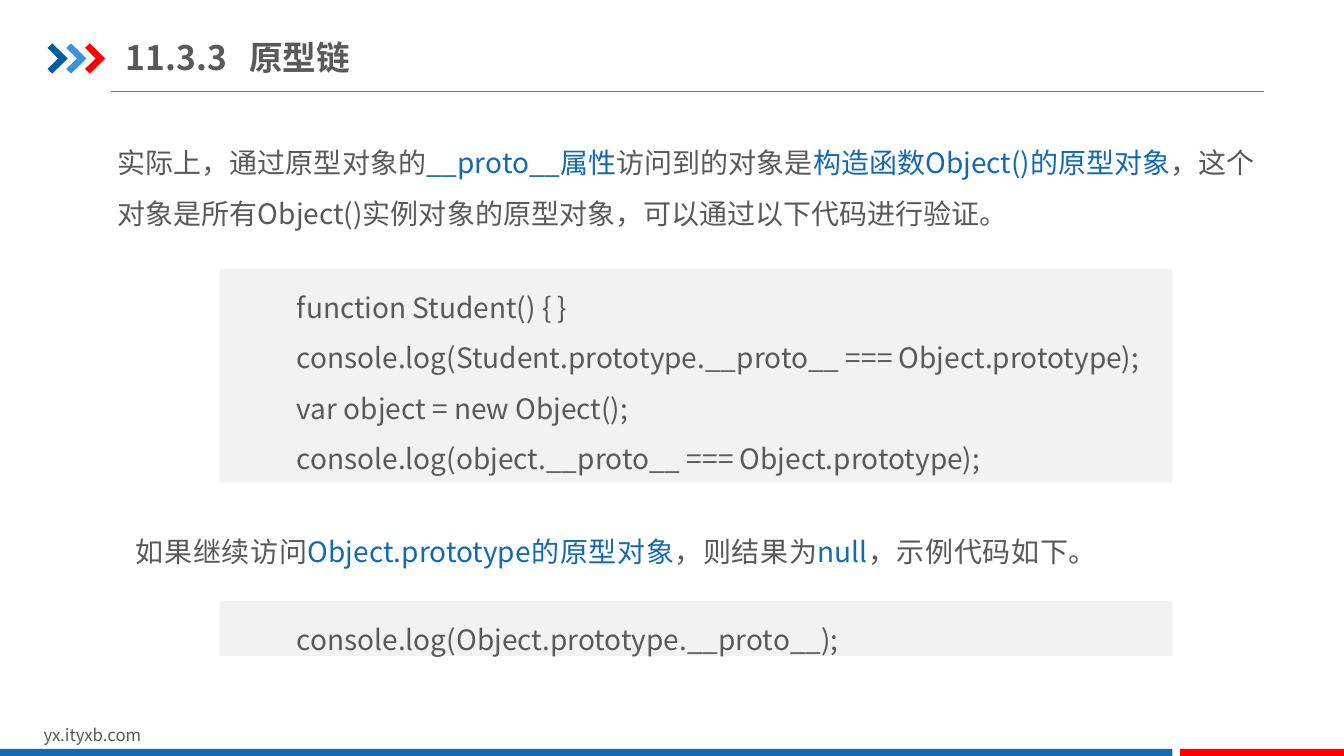
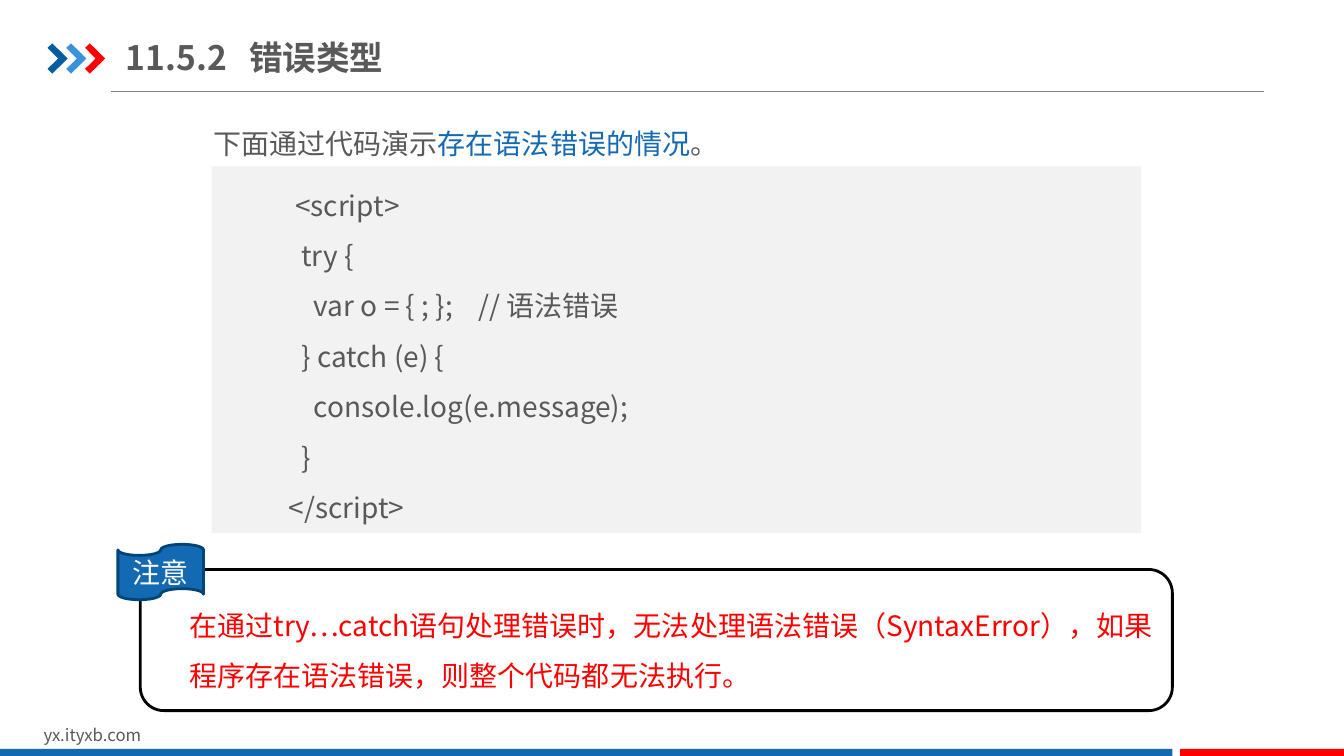
from dataclasses import dataclass

from lxml import etree
from pptx import Presentation
from pptx.dml.color import RGBColor
from pptx.enum import shapes, text
from pptx.oxml import ns
from pptx.util import Pt


@dataclass(frozen=True)
class Theme:
    font: str = "Noto Sans CJK SC"
    ink: str = "595959"
    blue: str = "1369B2"
    navy: str = "005DA2"
    sky: str = "3992DB"
    red: str = "FF0000"
    rule: str = "808080"
    panel: str = "F2F2F2"
    edge: str = "004578"
    black: str = "000000"
    white: str = "FFFFFF"
    title: int = 24
    body: int = 20
    foot: int = 12
    lead: float = 1.5
    indent: int = 48


T = Theme()
KIND = shapes.MSO_SHAPE
ALIGN = text.PP_ALIGN
ANCHOR = text.MSO_ANCHOR


def rgb(code):
    return RGBColor.from_string(code)


# Basic parts; every box is (left, top, width, height) in points
def style(run, color, size=T.body, bold=False):
    font = run.font
    font.name, font.size, font.bold = T.font, Pt(size), bold
    font.color.rgb = rgb(color)
    east = etree.SubElement(run._r.get_or_add_rPr(), ns.qn("a:ea"))
    east.set("typeface", T.font)


def paint(shape, fill=None, line=None, width=2):
    shape.shadow.inherit = False
    if fill:
        shape.fill.solid()
        shape.fill.fore_color.rgb = rgb(fill)
    else:
        shape.fill.background()
    if line:
        shape.line.color.rgb = rgb(line)
        shape.line.width = Pt(width)
    else:
        shape.line.fill.background()


def block(slide, kind, box, **look):
    shape = slide.shapes.add_shape(kind, *map(Pt, box))
    paint(shape, **look)
    return shape


def label(slide, box, words, color=T.ink, size=T.body, bold=False):
    frame = slide.shapes.add_textbox(*map(Pt, box)).text_frame
    frame.word_wrap = True
    frame.text = words
    style(frame.paragraphs[0].runs[0], color, size, bold)
    return frame


def prose(slide, box, parts, colors=(T.ink, T.blue), align=ALIGN.LEFT):
    """Wrapped paragraph whose parts take the colours in turn."""
    frame = slide.shapes.add_textbox(*map(Pt, box)).text_frame
    frame.word_wrap = True
    para = frame.paragraphs[0]
    para.line_spacing, para.alignment = T.lead, align
    for i, part in enumerate(parts):
        run = para.add_run()
        run.text = part
        style(run, colors[i % len(colors)])


def code(slide, box, source):
    """Grey panel with indented code lines."""
    frame = block(slide, KIND.RECTANGLE, box, fill=T.panel).text_frame
    frame.word_wrap = True
    frame.vertical_anchor = ANCHOR.TOP
    frame.text = source
    for para in frame.paragraphs:
        para._p.get_or_add_pPr().set("marL", str(Pt(T.indent)))
        para.line_spacing, para.alignment = T.lead, ALIGN.LEFT
        style(para.runs[0], T.ink)


def note(slide, box, tag, words):
    """Rounded frame with a wavy tag on its top left corner."""
    left, top, width, height = box
    block(slide, KIND.ROUNDED_RECTANGLE, box, line=T.black)
    flag = block(slide, KIND.FLOWCHART_PUNCHED_TAPE,
                 (left - 16, top - 18, 61.2, 39.6), fill=T.blue, line=T.edge)
    frame = flag.text_frame
    frame.text = tag
    frame.vertical_anchor = ANCHOR.MIDDLE
    frame.paragraphs[0].alignment = ALIGN.CENTER
    style(frame.paragraphs[0].runs[0], T.white)
    prose(slide, (left + 28, top + 12, width - 34.5, height - 25),
          [words], colors=(T.red,))


# Header and footer shared by all slides
def arrows(slide, left, top, step=13.4):
    outline = [(0, 3.2), (3.4, 0), (14.4, 10.8), (3.4, 21.6), (0, 18.2), (7.6, 10.8)]
    for i, color in enumerate((T.navy, T.sky, T.red)):
        spots = [(Pt(left + i * step + x), Pt(top + y)) for x, y in outline]
        pen = slide.shapes.build_freeform(*spots[0])
        pen.add_line_segments(spots[1:], close=True)
        paint(pen.convert_to_shape(), fill=color)


def header(slide, number, name):
    rule = slide.shapes.add_connector(shapes.MSO_CONNECTOR.STRAIGHT,
                                      Pt(79.5), Pt(65.5), Pt(903), Pt(65.5))
    rule.line.color.rgb = rgb(T.rule)
    rule.line.width = Pt(0.75)
    etree.SubElement(rule._element.spPr, ns.qn("a:effectLst"))
    arrows(slide, 34, 31)
    frame = label(slide, (90, 21, 306, 39.6), f"{number}\t{name}",
                  size=T.title, bold=True)
    frame.margin_left = frame.margin_right = 0
    frame.vertical_anchor = ANCHOR.MIDDLE
    # Tab stop between number and name
    props = frame.paragraphs[0]._p.get_or_add_pPr()
    tabs = etree.SubElement(props, ns.qn("a:tabLst"))
    etree.SubElement(tabs, ns.qn("a:tab"), pos=str(Pt(88)), algn="l")


def footer(slide, top=535, split=837.4, gap=5.6):
    label(slide, (24, top - 21, 229, 21.6), "yx.ityxb.com", size=T.foot)
    start = split + gap
    for left, width, color in ((0, split, T.blue), (start, 960 - start, T.red)):
        block(slide, KIND.RECTANGLE, (left, top, width, 540 - top), fill=color)


def page(deck, number, name):
    slide = deck.slides.add_slide(deck.slide_layouts[6])
    header(slide, number, name)
    footer(slide)
    return slide


# Slides
def chain(deck):
    slide = page(deck, "11.3.3", "原型链")
    prose(slide, (77, 88.5, 839, 80), [
        "实际上，通过原型对象的", "__proto__属性", "访问到的对象是",
        "构造函数Object()的原型对象",
        "，这个对象是所有Object()实例对象的原型对象，可以通过以下代码进行验证。"])
    code(slide, (157, 192, 680.4, 152.6), """function Student() { }
console.log(Student.prototype.__proto__ === Object.prototype);
var object = new Object();
console.log(object.__proto__ === Object.prototype);""")
    prose(slide, (90, 366.5, 680.4, 44), [
        "如果继续访问", "Object.prototype的原型对象", "，则结果为",
        "null", "，示例代码如下。"], align=ALIGN.JUSTIFY)
    code(slide, (157, 429, 680.4, 39.6), "console.log(Object.prototype.__proto__);")


def errors(deck):
    slide = page(deck, "11.5.2", "错误类型")
    prose(slide, (145.4, 75, 662.4, 44),
          ["下面通过代码演示", "存在语法错误的情况", "。"])
    code(slide, (151.2, 118.8, 664, 262), """ <script>
  try {
    var o = { ; };    // 语法错误
  } catch (e) {
    console.log(e.message);
  }
</script>""")
    note(slide, (100.2, 406.8, 737.2, 100.8), "注意",
         "在通过try…catch语句处理错误时，无法处理语法错误（SyntaxError），"
         "如果程序存在语法错误，则整个代码都无法执行。")


def main():
    deck = Presentation()
    deck.slide_width, deck.slide_height = Pt(960), Pt(540)
    chain(deck)
    errors(deck)
    deck.save("out.pptx")


if __name__ == "__main__":
    main()
